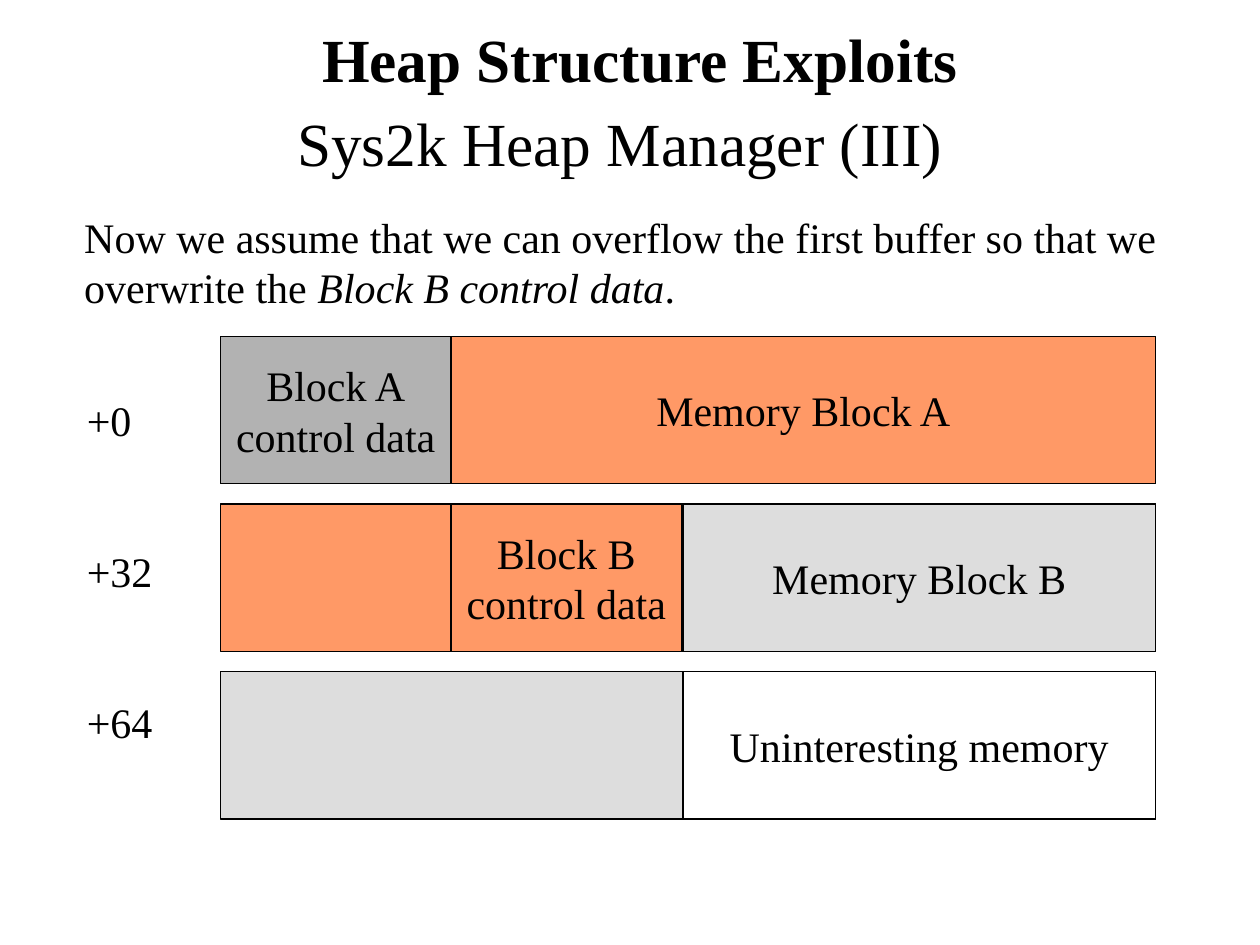
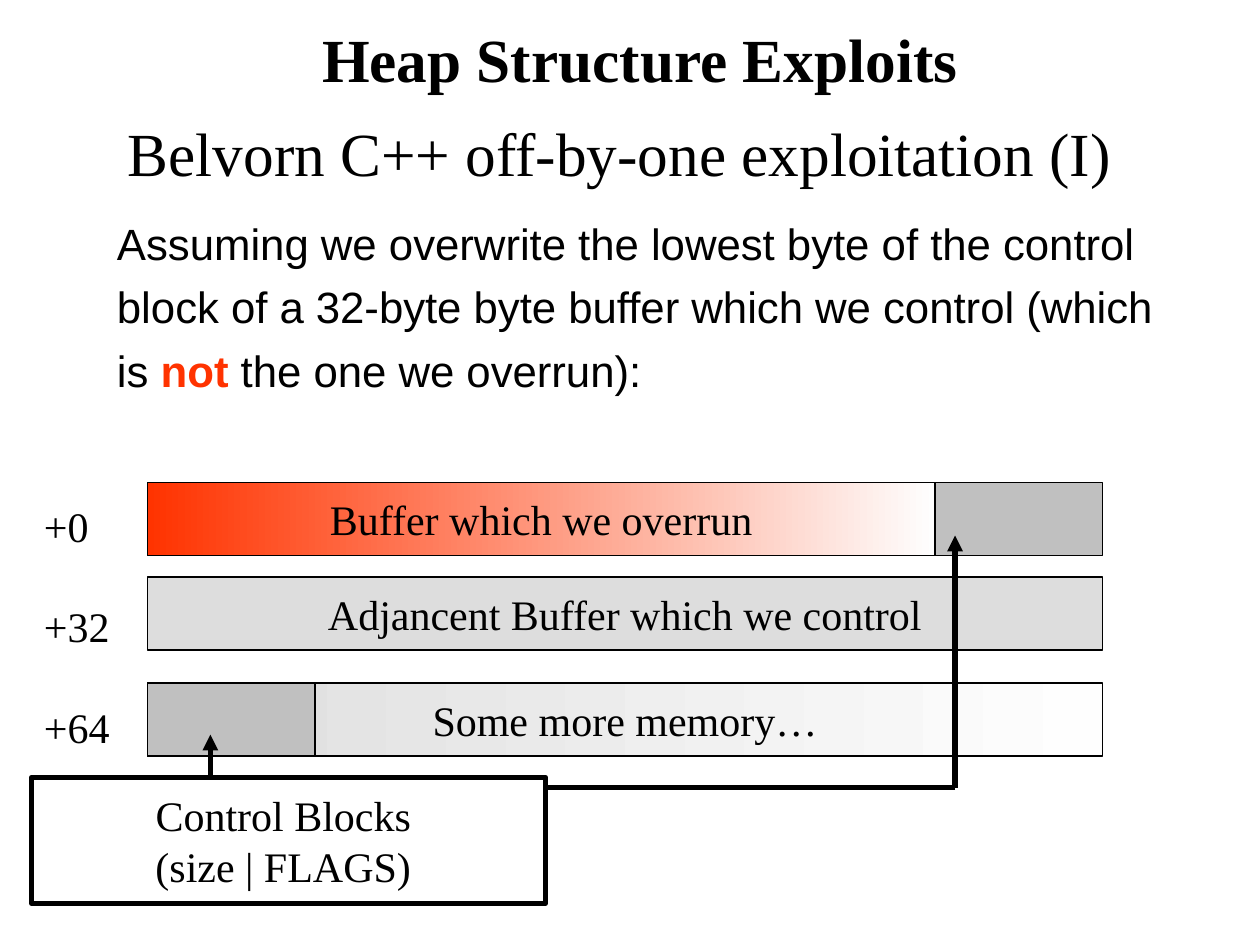
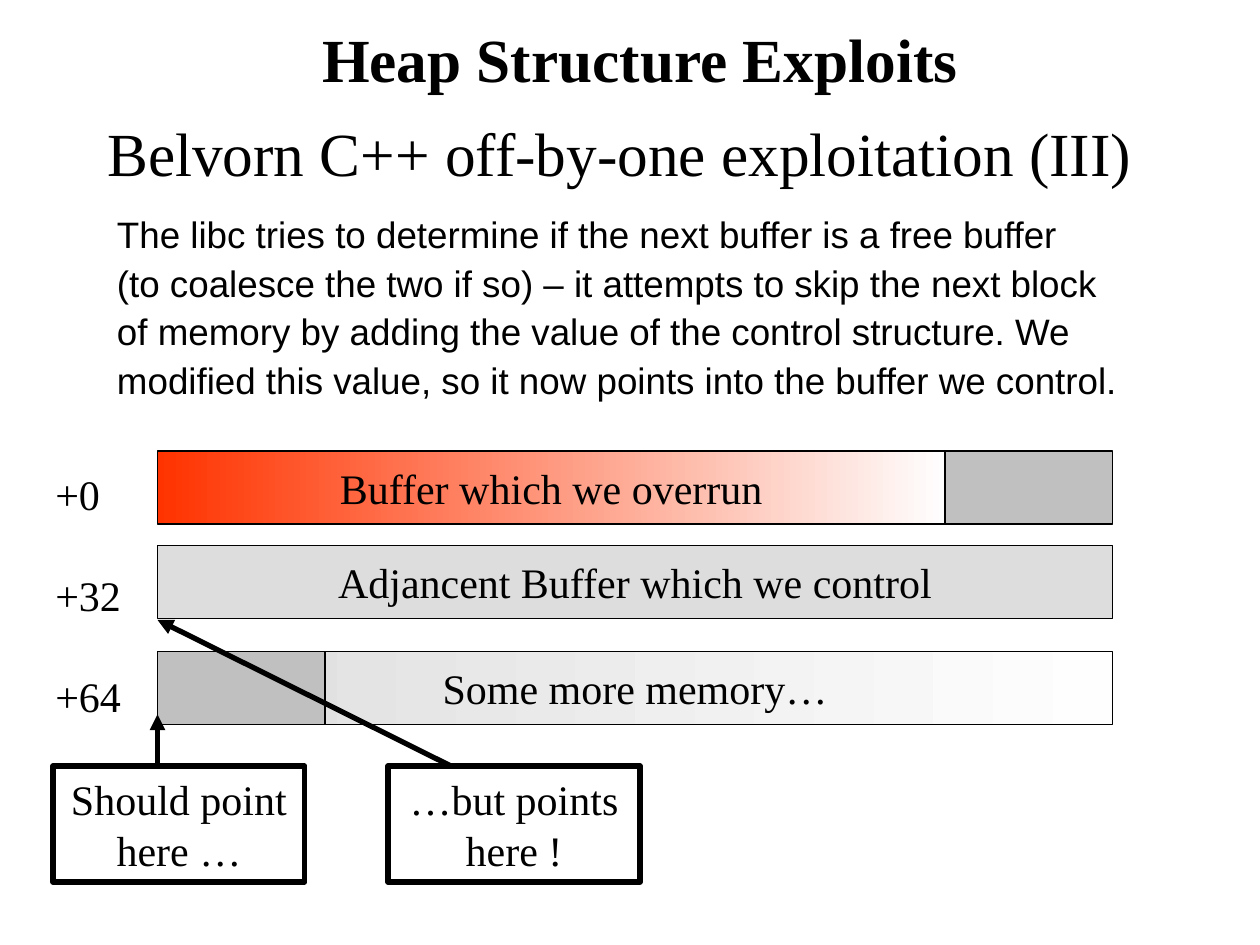
"""Build three slides on heap structure exploits."""
from dataclasses import dataclass

from lxml.etree import SubElement
from pptx import Presentation
from pptx.dml.color import RGBColor as RGB
from pptx.enum.dml import MSO_LINE
from pptx.enum.shapes import MSO_CONNECTOR as CONNECTOR, MSO_SHAPE as SHAPE
from pptx.enum.text import MSO_ANCHOR as ANCHOR, PP_ALIGN as ALIGN
from pptx.oxml.ns import qn
from pptx.util import Inches, Pt


@dataclass(frozen=True)
class Theme:
    ink: RGB = RGB(0, 0, 0)
    white: RGB = RGB(0xFF, 0xFF, 0xFF)
    fade: RGB = RGB(0xFE, 0xFE, 0xFE)
    red: RGB = RGB(0xFF, 0x33, 0x00)
    orange: RGB = RGB(0xFF, 0x99, 0x66)
    light: RGB = RGB(0xDD, 0xDD, 0xDD)
    control: RGB = RGB(0xC0, 0xC0, 0xC0)
    dark: RGB = RGB(0xB2, 0xB2, 0xB2)
    serif: str = "Times New Roman"
    sans: str = "Arial"
    title: int = 35
    label: int = 24
    thin: float = 0.75
    thick: float = 3


theme = Theme()


def write(shape, lines, size=theme.label, font=theme.serif, align=ALIGN.LEFT,
          anchor=ANCHOR.TOP, wrap=False, bold=False, before=0, spacing=None):
    """Write lines into a shape; parts between asterisks become separate runs."""
    frame = shape.text_frame
    frame.word_wrap = wrap
    frame.vertical_anchor = anchor
    for index, line in enumerate(lines):
        paragraph = frame.paragraphs[0] if index == 0 else frame.add_paragraph()
        paragraph.alignment = align
        paragraph.space_before = Pt(before)
        if spacing:
            paragraph.line_spacing = spacing
        for part in line.split("*"):
            run = paragraph.add_run()
            run.text = part
            run.font.name = font
            run.font.size = Pt(size)
            run.font.bold = bold
            run.font.color.rgb = theme.ink
    return frame


def add_block(slide, left, top, width, height, fill, lines=(), line_width=theme.thin):
    """Add an outlined block; a pair of colours fills it from right to left."""
    block = slide.shapes.add_shape(
        SHAPE.RECTANGLE, Inches(left), Inches(top), Inches(width), Inches(height))
    block.shadow.inherit = False
    if isinstance(fill, list):
        block.fill.gradient()
        block.fill.gradient_angle = 180
        for stop, color in zip(block.fill.gradient_stops, fill):
            stop.color.rgb = color
    else:
        block.fill.solid()
        block.fill.fore_color.rgb = fill
    block.line.color.rgb = theme.ink
    block.line.width = Pt(line_width)
    write(block, lines, align=ALIGN.CENTER, anchor=ANCHOR.MIDDLE)


prs = Presentation()
prs.slide_width, prs.slide_height = Inches(10), Inches(7.5)

headings = [
    ("Sys2k Heap Manager (III)", 0.67),
    ("Belvorn C++ off-by-one exploitation (I)", 0.75),
    ("Belvorn C++ off-by-one exploitation (III)", 0.75),
]
for heading, heading_top in headings:
    slide = prs.slides.add_slide(prs.slide_layouts[6])
    for text, left, top, bold in [(heading, 0.67, heading_top, False),
                                  ("Heap Structure Exploits", 0.83, 0, True)]:
        title = slide.shapes.add_textbox(Inches(left), Inches(top), Inches(8.5), Inches(0.92))
        write(title, [text], theme.title, align=ALIGN.CENTER, anchor=ANCHOR.MIDDLE,
              wrap=True, bold=bold)

manager, overwrite, coalesce = prs.slides

intro = manager.shapes.add_textbox(Inches(0.57), Inches(1.63), Inches(8.71), Inches(0.9))
intro_text = write(intro, ["Now we assume that we can overflow the first buffer so that we",
                           "overwrite the *Block B control data*."])
intro_text.paragraphs[1].runs[1].font.italic = True

row_tops = [2.67, 4, 5.33]
for row_top, fill in zip(row_tops, [theme.light, theme.orange, theme.light]):
    add_block(manager, 1.75, row_top, 7.42, 1.17, fill)
for row, left, width, fill, lines in [
    (0, 1.75, 1.83, theme.dark, ["Block A", "control data"]),
    (1, 3.58, 1.83, theme.orange, ["Block B", "control data"]),
    (0, 3.58, 5.59, theme.orange, ["Memory Block A"]),
    (1, 5.42, 3.75, theme.light, ["Memory Block B"]),
    (2, 5.42, 3.75, theme.white, ["Uninteresting memory"]),
]:
    add_block(manager, left, row_tops[row], width, 1.17, fill, lines)

assumption = overwrite.shapes.add_textbox(Inches(0.83), Inches(1.67), Inches(8.58), Inches(1.92))
assumption_text = write(assumption, [
    "Assuming we overwrite the lowest byte of the control",
    "block of a 32-byte byte buffer which we control (which",
    "is *not* the one we overrun):",
], 25, theme.sans, wrap=True, before=6.2)
warning = assumption_text.paragraphs[2].runs[1].font
warning.bold = True
warning.color.rgb = theme.red

explanation = coalesce.shapes.add_textbox(Inches(0.83), Inches(1.67), Inches(8.58), Inches(1.67))
write(explanation, [
    "The libc tries to determine if the next buffer is a free buffer",
    "(to coalesce the two if so) – it attempts to skip the next block",
    "of memory by adding the value of the control structure. We",
    "modified this value, so it now points into the buffer we control.",
], 21, theme.sans, wrap=True, before=5.2, spacing=0.9)

for slide, left, top in [(overwrite, 1.17, 3.83), (coalesce, 1.25, 3.58)]:
    for shift, drop, width, fill, lines in [
        (0, 0, 6.25, [theme.fade, theme.red], ["Buffer which we overrun"]),
        (6.25, 0, 1.33, theme.control, []),
        (0, 0.75, 7.58, theme.light, ["Adjancent Buffer which we control"]),
        (0, 1.59, 7.58, [theme.fade, theme.light], ["Some more memory…"]),
        (0, 1.59, 1.33, theme.control, []),
    ]:
        add_block(slide, left + shift, top + drop, width, 0.58, fill, lines)

for slide, left, top, gap in [(manager, 0.59, 3.08, 57.6), (overwrite, 0.25, 3.92, 28.8),
                              (coalesce, 0.34, 3.67, 28.8)]:
    offsets = slide.shapes.add_textbox(Inches(left), Inches(top), Inches(0.72), Inches(2.9))
    offsets_text = write(offsets, ["+0", "+32", "+64"], before=gap)
    offsets_text.paragraphs[0].space_before = Pt(0)

for slide, left, top, width, height, lines in [
    (overwrite, 0.25, 6.17, 4.08, 1, ["Control Blocks ", "(size | FLAGS) "]),
    (coalesce, 0.42, 6.08, 2, 0.92, ["Should point", "here …"]),
    (coalesce, 3.08, 6.08, 2, 0.92, ["…but points", "here !"]),
]:
    add_block(slide, left, top, width, height, theme.white, lines, theme.thick)

for slide, start_x, start_y, end_x, end_y, has_head in [
    (overwrite, 7.58, 6.25, 7.58, 4.25, True),
    (overwrite, 7.58, 6.25, 4.33, 6.25, False),
    (overwrite, 1.67, 6.17, 1.67, 5.83, True),
    (coalesce, 1.25, 6.08, 1.25, 5.67, True),
    (coalesce, 3.58, 6.08, 1.25, 4.92, True),
]:
    pointer = slide.shapes.add_connector(
        CONNECTOR.STRAIGHT, Inches(start_x), Inches(start_y), Inches(end_x), Inches(end_y))
    pointer.line.color.rgb = theme.ink
    pointer.line.width = Pt(theme.thick)
    pointer.line.dash_style = MSO_LINE.SOLID
    if has_head:
        SubElement(pointer.line._get_or_add_ln(), qn("a:tailEnd"), type="triangle")
    SubElement(pointer._element.spPr, qn("a:effectLst"))

prs.save("out.pptx")
